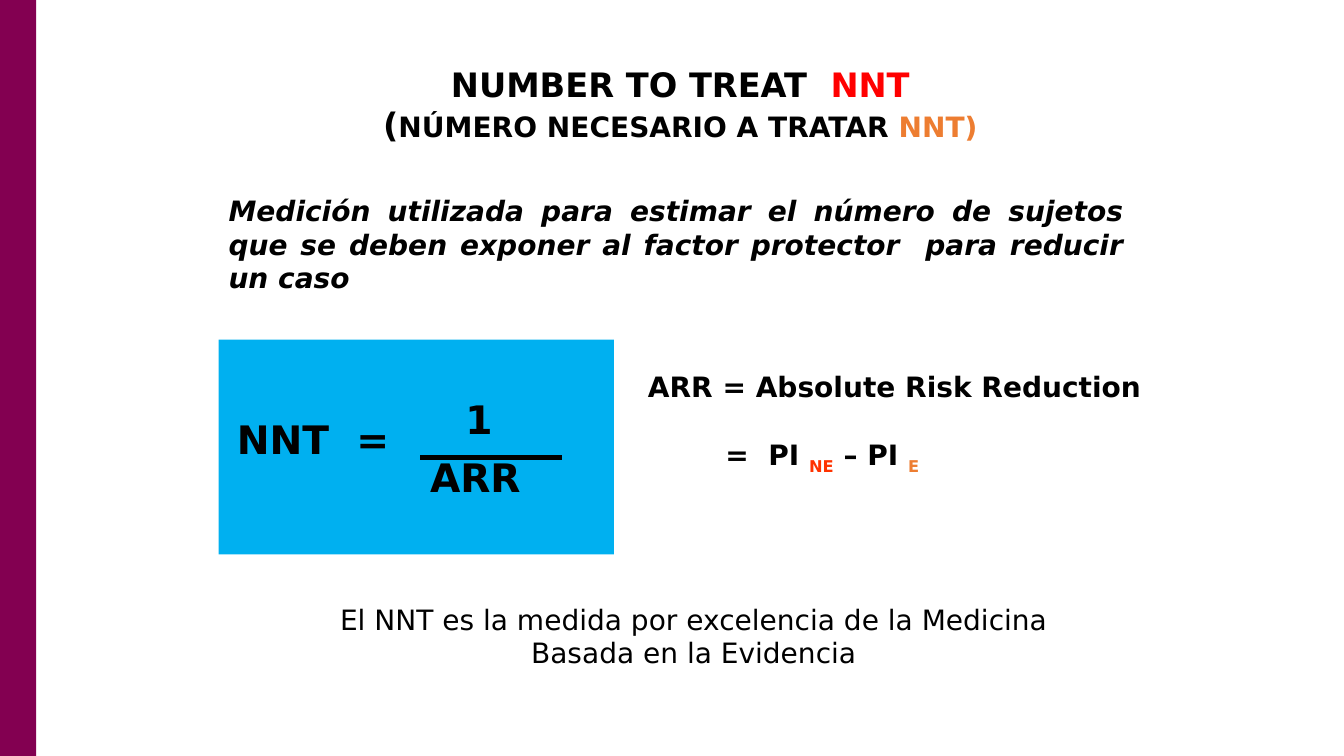
from dataclasses import dataclass

import pptx
import pptx.dml.color
import pptx.enum.shapes
import pptx.enum.text
import pptx.oxml.ns
import pptx.shapes.autoshape
import pptx.slide
import pptx.text.text
import pptx.util
from lxml import etree

Cm = pptx.util.Cm
Pt = pptx.util.Pt
RGBColor = pptx.dml.color.RGBColor
Align = pptx.enum.text.PP_ALIGN
Anchor = pptx.enum.text.MSO_ANCHOR

BLACK = RGBColor(0x00, 0x00, 0x00)
RED = RGBColor(0xFF, 0x00, 0x00)
VERMILION = RGBColor(0xFF, 0x33, 0x00)
ORANGE = RGBColor(0xED, 0x7D, 0x31)
BURGUNDY = RGBColor(0x83, 0x00, 0x51)
SKY_BLUE = RGBColor(0x00, 0xB0, 0xF0)

FONT = "DejaVu Sans"
SLIDE_WIDTH, SLIDE_HEIGHT = 33.87, 19.05


@dataclass(frozen=True)
class Box:
    """Position and size in centimetres."""
    left: float
    top: float
    width: float
    height: float


@dataclass(frozen=True)
class Piece:
    text: str
    size: int = 20
    color: RGBColor = BLACK
    bold: bool = True
    italic: bool = False
    subscript: bool = False


@dataclass(frozen=True)
class Label:
    box: Box
    pieces: tuple[Piece, ...]
    align: Align = Align.LEFT


TITLE_BOX = Box(5.51, 1.45, 23.27, 2.36)
TITLE_LINES = (
    (Piece("NUMBER TO TREAT  ", 24), Piece("NNT", 24, RED)),
    (Piece("(", 24), Piece("NÚMERO NECESARIO A TRATAR "), Piece("NNT)", color=ORANGE)),
)

SIDE_BAR = Box(0, 0, 0.91, SLIDE_HEIGHT)
FORMULA_PANEL = Box(5.51, 8.56, 9.96, 5.41)
FRACTION_LEFT, FRACTION_RIGHT, FRACTION_Y = 10.59, 14.17, 11.53

LABELS = (
    Label(Box(5.51, 4.75, 23.06, 2.82),
          (Piece("Medición utilizada para estimar el número de sujetos que se deben "
                 "exponer al factor protector  para reducir un caso", italic=True),),
          Align.JUSTIFY),
    Label(Box(5.72, 10.34, 5.74, 1.45),
          (Piece("NNT", 28), Piece("  =", 28, italic=True))),
    Label(Box(11.48, 9.83, 2.06, 1.45), (Piece("1", 28),)),
    Label(Box(10.59, 11.3, 5.74, 1.45), (Piece("ARR", 28),)),
    Label(Box(16.08, 9.19, 13.54, 1.12), (Piece("ARR = Absolute Risk Reduction"),)),
    Label(Box(18.03, 10.9, 6.3, 1.12),
          (Piece("=  PI "), Piece("NE", color=VERMILION, subscript=True),
           Piece(" – PI "), Piece("E", color=ORANGE, subscript=True))),
    Label(Box(6.98, 15.04, 21.01, 1.96),
          (Piece("El NNT es la medida por excelencia de la Medicina Basada en la Evidencia",
                 bold=False),),
          Align.CENTER),
)


def lengths(box: Box) -> tuple[pptx.util.Length, ...]:
    return Cm(box.left), Cm(box.top), Cm(box.width), Cm(box.height)


def write_pieces(paragraph: pptx.text.text._Paragraph, pieces: tuple[Piece, ...],
                 align: Align) -> None:
    paragraph.alignment = align
    for piece in pieces:
        run = paragraph.add_run()
        run.text = piece.text
        font_format = {"name": FONT, "size": Pt(piece.size),
                       "bold": piece.bold, "italic": piece.italic}
        for name, value in font_format.items():
            setattr(run.font, name, value)
        run.font.color.rgb = piece.color
        if piece.subscript:
            run._r.get_or_add_rPr().set("baseline", "-25000")


def format_frame(frame: pptx.text.text.TextFrame, wrap: bool, anchor: Anchor) -> None:
    frame_format = {"word_wrap": wrap, "vertical_anchor": anchor,
                    "auto_size": pptx.enum.text.MSO_AUTO_SIZE.NONE,
                    "margin_left": Cm(0.25), "margin_right": Cm(0.25),
                    "margin_top": Cm(0.13), "margin_bottom": Cm(0.13)}
    for name, value in frame_format.items():
        setattr(frame, name, value)


def fill_title(slide: pptx.slide.Slide) -> None:
    title = slide.shapes.title
    title.left, title.top, title.width, title.height = lengths(TITLE_BOX)
    frame = title.text_frame
    format_frame(frame, False, Anchor.MIDDLE)
    for index, pieces in enumerate(TITLE_LINES):
        paragraph = frame.add_paragraph() if index else frame.paragraphs[0]
        write_pieces(paragraph, pieces, Align.CENTER)


def add_panel(slide: pptx.slide.Slide, box: Box,
              color: RGBColor) -> pptx.shapes.autoshape.Shape:
    panel = slide.shapes.add_shape(pptx.enum.shapes.MSO_SHAPE.RECTANGLE, *lengths(box))
    panel.shadow.inherit = False
    panel.fill.solid()
    panel.fill.fore_color.rgb = color
    panel.line.fill.background()
    return panel


def add_label(slide: pptx.slide.Slide, label: Label) -> None:
    frame = slide.shapes.add_textbox(*lengths(label.box)).text_frame
    format_frame(frame, True, Anchor.TOP)
    write_pieces(frame.paragraphs[0], label.pieces, label.align)


def add_fraction_bar(slide: pptx.slide.Slide) -> None:
    bar = slide.shapes.add_connector(
        pptx.enum.shapes.MSO_CONNECTOR.STRAIGHT,
        Cm(FRACTION_LEFT), Cm(FRACTION_Y), Cm(FRACTION_RIGHT), Cm(FRACTION_Y))
    bar.line.color.rgb = BLACK
    bar.line.width = Pt(3)
    etree.SubElement(bar._element.spPr, pptx.oxml.ns.qn("a:effectLst"))


def main() -> None:
    presentation = pptx.Presentation()
    presentation.slide_width = Cm(SLIDE_WIDTH)
    presentation.slide_height = Cm(SLIDE_HEIGHT)
    title_only = presentation.slide_layouts.get_by_name("Title Only")
    slide = presentation.slides.add_slide(title_only)
    add_panel(slide, SIDE_BAR, BURGUNDY)
    fill_title(slide)
    add_panel(slide, FORMULA_PANEL, SKY_BLUE)
    for label in LABELS:
        add_label(slide, label)
    add_fraction_bar(slide)
    presentation.save("out.pptx")


if __name__ == "__main__":
    main()
